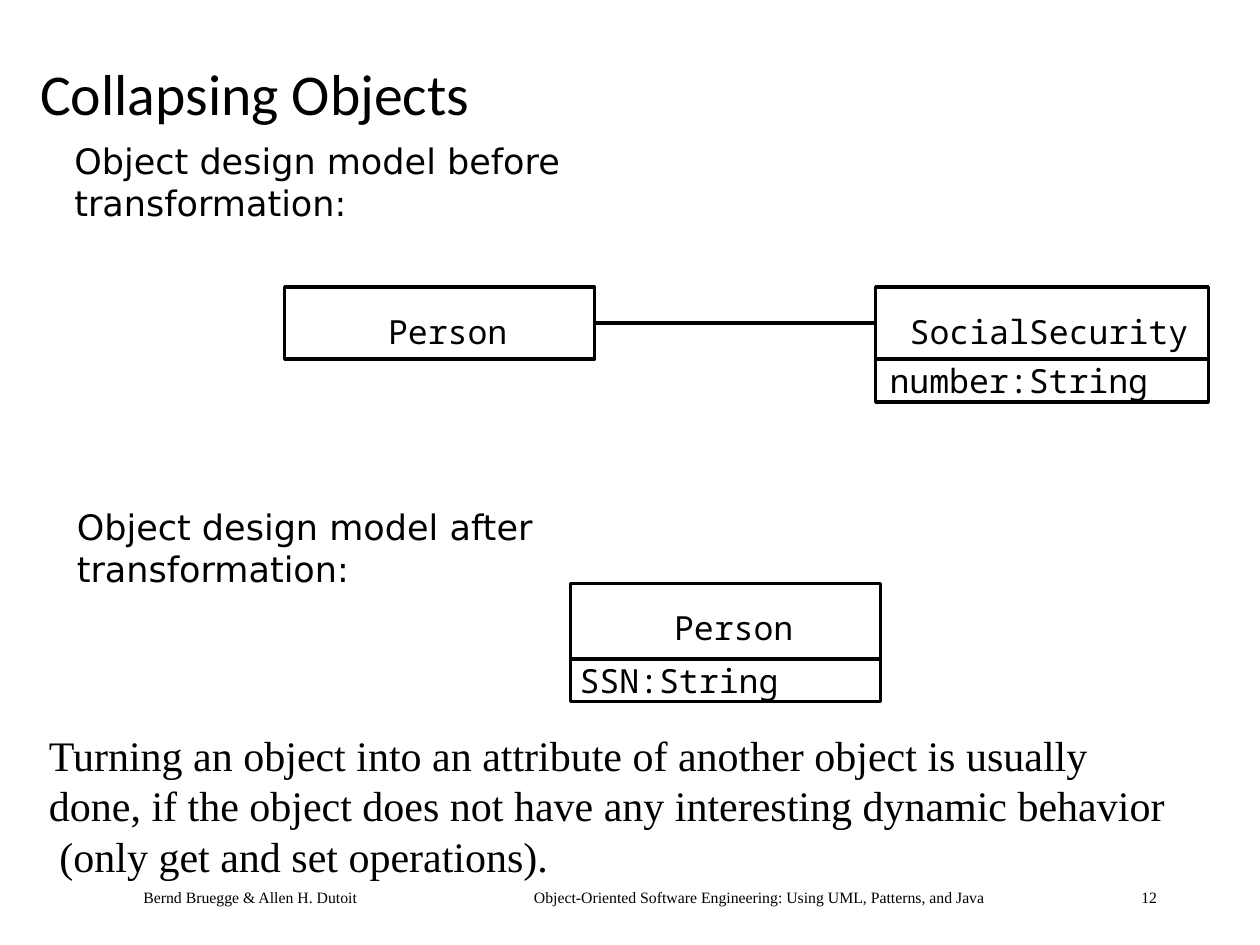
from lxml.etree import SubElement
from pptx import Presentation
from pptx.dml.color import RGBColor
from pptx.enum.shapes import MSO_CONNECTOR, MSO_SHAPE
from pptx.enum.text import MSO_ANCHOR
from pptx.oxml.ns import qn
from pptx.util import Inches, Pt

INK = "000000"
TITLE_FONT = "Calibri"
LABEL_FONT = "DejaVu Sans"
CODE_FONT = "Noto Sans Mono"
BODY_FONT = "Times New Roman"
RIGHT_SIDE, LEFT_SIDE = 3, 1


def color(hex_string):
    return RGBColor.from_string(hex_string)


class SlideBuilder:
    def __init__(self, slide):
        self.slide = slide
        self.line_width = Pt(2)

    def text(self, left, top, width, height, lines, font, size, padded=False,
             wrap=True, anchor=MSO_ANCHOR.TOP, line_spacing=None, tabs=()):
        shape = self.slide.shapes.add_textbox(
            Inches(left), Inches(top), Inches(width), Inches(height))
        frame = shape.text_frame
        frame.word_wrap = wrap
        frame.vertical_anchor = anchor
        frame.margin_left = frame.margin_right = Inches(0.1 if padded else 0)
        frame.margin_top = frame.margin_bottom = Inches(0.05 if padded else 0)
        frame.text = "\n".join(lines)
        for paragraph in frame.paragraphs:
            if line_spacing:
                paragraph.line_spacing = line_spacing
            if tabs:
                self.tab_stops(paragraph, tabs)
            paragraph.font.name = font
            paragraph.font.size = Pt(size)
            paragraph.font.color.rgb = color(INK)
        return shape

    def tab_stops(self, paragraph, positions):
        properties = paragraph._p.get_or_add_pPr()
        tab_list = SubElement(properties, qn("a:tabLst"))
        for position in positions:
            SubElement(tab_list, qn("a:tab"), pos=str(Inches(position)), algn="l")

    def box(self, left, top, width, height):
        shape = self.slide.shapes.add_shape(
            MSO_SHAPE.RECTANGLE, Inches(left), Inches(top),
            Inches(width), Inches(height))
        shape.shadow.inherit = False
        shape.fill.background()
        shape.line.color.rgb = color(INK)
        shape.line.width = self.line_width
        return shape

    def uml_class(self, left, top, width, name_height, name, name_left,
                  attribute=None, attribute_left=None):
        """Draw a class box with an optional attribute row; return the name box."""
        if attribute:
            self.box(left, top + name_height, width, 0.34)
        name_box = self.box(left, top, width, name_height)
        self.code(name_left, top + 0.19, name)
        if attribute:
            self.code(attribute_left, top + name_height + 0.01, attribute)
        return name_box

    def code(self, left, top, content):
        self.text(left, top, 0.16 * len(content), 0.32, [content],
                  CODE_FONT, 19, wrap=False)

    def association(self, source, target):
        connector = self.slide.shapes.add_connector(
            MSO_CONNECTOR.STRAIGHT, 0, 0, 0, 0)
        connector.begin_connect(source, RIGHT_SIDE)
        connector.end_connect(target, LEFT_SIDE)
        connector.line.color.rgb = color(INK)
        connector.line.width = self.line_width
        SubElement(connector._element.spPr, qn("a:effectLst"))


def main():
    presentation = Presentation()
    presentation.slide_width = Inches(10)
    presentation.slide_height = Inches(7.5)
    builder = SlideBuilder(
        presentation.slides.add_slide(presentation.slide_layouts[6]))

    # Footer
    builder.text(0.58, 7, 9.17, 0.25,
                 ["\tBernd Bruegge & Allen H. Dutoit"
                  "\tObject-Oriented Software Engineering: "
                  "Using UML, Patterns, and Java\t12"],
                 BODY_FONT, 9, padded=True, tabs=(0.46, 3.56, 8.38))

    # Title
    builder.text(0.22, 0.04, 8.63, 1.45, ["Collapsing Objects"], TITLE_FONT, 33,
                 padded=True, anchor=MSO_ANCHOR.MIDDLE, line_spacing=0.9)

    # Model before the transformation
    builder.text(0.59, 1.11, 5.5, 0.66,
                 ["Object design model before transformation:"], LABEL_FONT, 20)
    person = builder.uml_class(2.26, 2.28, 2.46, 0.57, "Person", 3.08)
    social_security = builder.uml_class(
        6.95, 2.28, 2.64, 0.57, "SocialSecurity", 7.22, "number:String", 7.06)
    builder.association(person, social_security)

    # Model after the transformation
    builder.text(0.61, 4.01, 5.5, 0.66,
                 ["Object design model after transformation:"], LABEL_FONT, 20)
    builder.uml_class(4.53, 4.63, 2.46, 0.6, "Person", 5.35, "SSN:String", 4.6)

    # Explanation
    builder.text(0.29, 5.74, 9.3, 1.3,
                 ["Turning an object into an attribute of another object is usually",
                  "done, if the object does not have any interesting dynamic behavior",
                  " (only get and set operations)."],
                 BODY_FONT, 24, padded=True)

    presentation.save("out.pptx")


if __name__ == "__main__":
    main()
